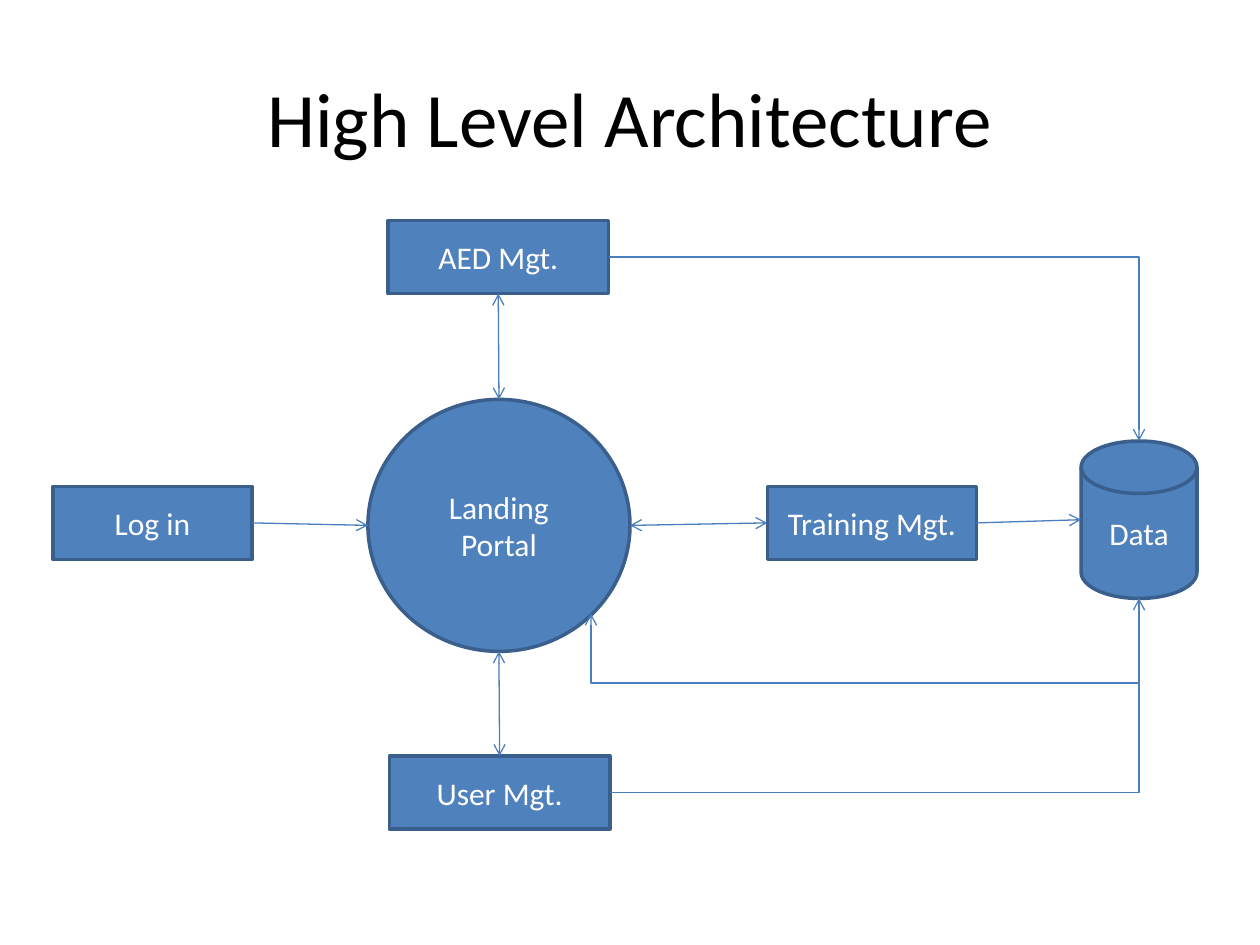
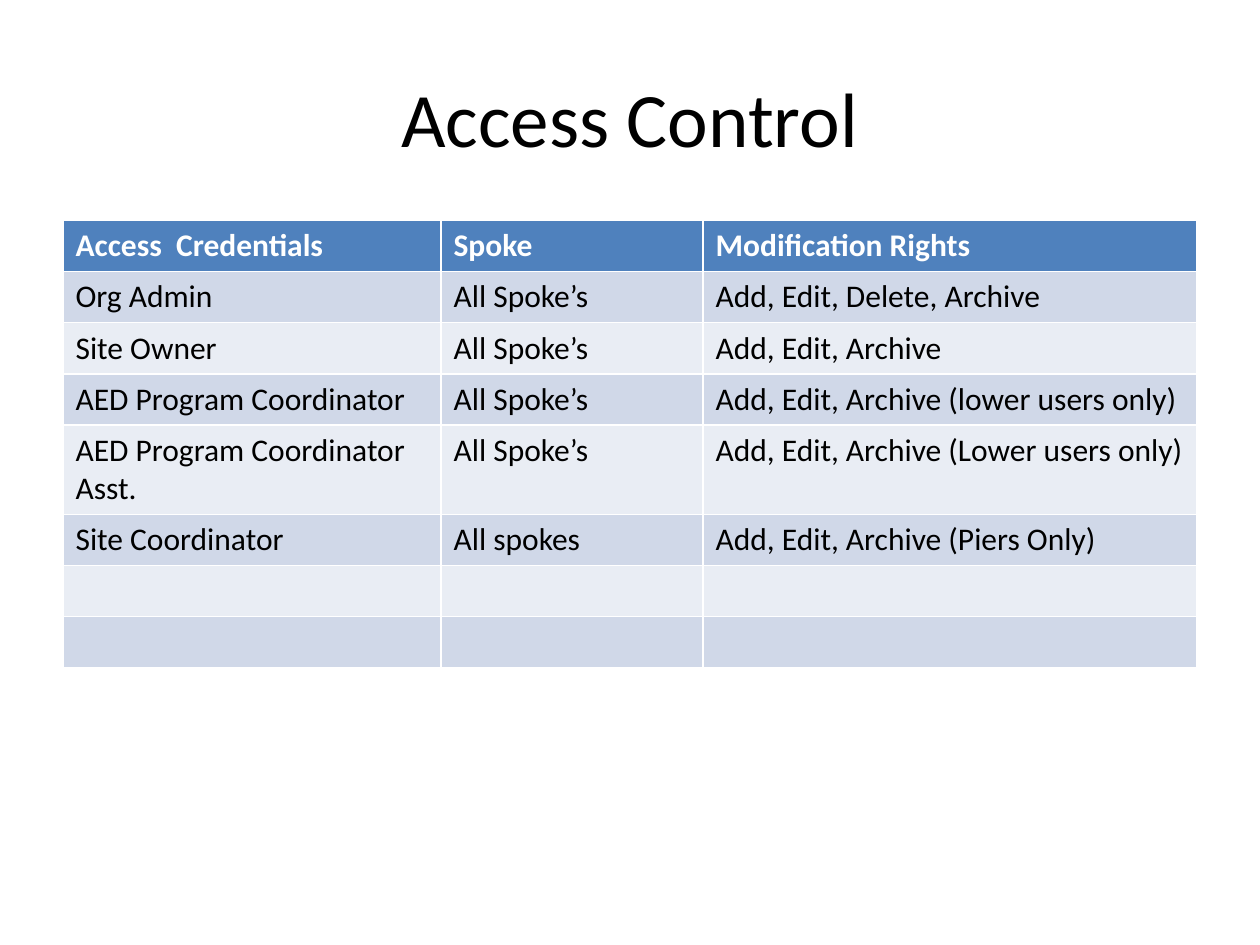
import lxml.etree
import pptx
import pptx.dml.color
import pptx.enum.shapes
import pptx.enum.text
import pptx.oxml.ns
import pptx.util

SCALE = 9144  # EMU in one px, 100 px to the inch
COLORS = {
    "title": "000000",
    "text": "000000",
    "light": "FFFFFF",
    "main": "4F81BD",
    "edge": "3A5F8C",
    "link": "4B7EBC",
    "odd": "D0D8E8",
    "even": "E9EDF4",
}
KIND = pptx.enum.shapes.MSO_SHAPE
WIRE = pptx.enum.shapes.MSO_CONNECTOR
ALIGN = pptx.enum.text.PP_ALIGN
ANCHOR = pptx.enum.text.MSO_ANCHOR
TOP, LEFT, BOTTOM, RIGHT = range(4)


def emu(*lengths):
    return [pptx.util.Emu(round(length * SCALE)) for length in lengths]


def color(name):
    return pptx.dml.color.RGBColor.from_string(COLORS[name])


def add_tag(parent, tag, **attrs):
    return lxml.etree.SubElement(parent, pptx.oxml.ns.qn(tag), attrs)


def middle(shape, side):
    """Return the middle of one side of a shape, in px."""
    x, y, w, h = (v / SCALE for v in (shape.left, shape.top, shape.width, shape.height))
    return {
        TOP: (x + w / 2, y),
        LEFT: (x, y + h / 2),
        BOTTOM: (x + w / 2, y + h),
        RIGHT: (x + w, y + h / 2),
    }[side]


class Deck:
    font = "Calibri"

    def __init__(self):
        self.show = pptx.Presentation()
        self.show.slide_width, self.show.slide_height = emu(1000, 750)
        self.slide = None

    def style(self, frame, size, name, align, bold=False):
        for para in frame.paragraphs:
            para.alignment = align
            for run in para.runs:
                run.font.name = self.font
                run.font.size = pptx.util.Pt(size)
                run.font.bold = bold
                run.font.color.rgb = color(name)

    def page(self, title):
        """Start a slide that has only a title."""
        self.slide = self.show.slides.add_slide(self.show.slide_layouts[5])
        head = self.slide.shapes.title
        head.left, head.top, head.width, head.height = emu(50, 30, 900, 125)
        head.text_frame.text = title
        head.text_frame.vertical_anchor = ANCHOR.MIDDLE
        self.style(head.text_frame, 44, "title", ALIGN.CENTER)

    def node(self, text, x, y, w, h, kind=KIND.FLOWCHART_PROCESS):
        shape = self.slide.shapes.add_shape(kind, *emu(x, y, w, h))
        shape.shadow.inherit = False
        shape.fill.solid()
        shape.fill.fore_color.rgb = color("main")
        shape.line.color.rgb = color("edge")
        shape.line.width = pptx.util.Pt(2)
        frame = shape.text_frame
        frame.text = text
        frame.word_wrap = True
        frame.vertical_anchor = ANCHOR.MIDDLE
        self.style(frame, 18, "light", ALIGN.CENTER)
        return shape

    def wire(self, kind, start, end, both=False):
        """Draw a connector with an arrow at its end, or at both ends."""
        line = self.slide.shapes.add_connector(kind, *emu(*start, *end))
        line.line.color.rgb = color("link")
        line.line.width = pptx.util.Pt(0.75)
        props = line.line._get_or_add_ln()
        if both:
            add_tag(props, "a:headEnd", type="arrow")
        add_tag(props, "a:tailEnd", type="arrow")
        add_tag(line._element.spPr, "a:effectLst")
        return line

    def link(self, first, out, last, into, both=False):
        """Join two nodes by a straight arrow, glued to any box."""
        line = self.wire(WIRE.STRAIGHT, middle(first, out), middle(last, into), both)
        if first.auto_shape_type == KIND.FLOWCHART_PROCESS:
            line.begin_connect(first, out)
        if last.auto_shape_type == KIND.FLOWCHART_PROCESS:
            line.end_connect(last, into)

    def bend(self, start, end):
        """Draw an arrow that runs across, then up or down."""
        line = self.wire(WIRE.ELBOW, start, end)
        line._element.spPr.prstGeom.set("prst", "bentConnector2")

    def loop(self, start, end, drop):
        """Draw an arrow that goes down by drop, left, and up to its end."""
        wide, high = start[0] - end[0], end[1] - start[1]
        x, y = (start[0] + end[0] - high) / 2, (start[1] + end[1] - wide) / 2
        line = self.wire(WIRE.ELBOW, (x, y), (x + high, y + wide))
        props = line._element.spPr
        props.xfrm.set("rot", str(90 * 60000))
        guides = props.prstGeom.get_or_add_avLst()
        ratio = round(drop / high * 100000)
        add_tag(guides, "a:gd", name="adj1", fmla=f"val {ratio}")

    def table(self, rows, x, y, widths, high):
        size = emu(x, y, sum(widths), high * len(rows))
        grid = self.slide.shapes.add_table(len(rows), len(widths), *size).table
        for col, width in zip(grid.columns, emu(*widths)):
            col.width = width
        for r, row in enumerate(rows):
            grid.rows[r].height = emu(high)[0]
            fill = "main" if r == 0 else ("even", "odd")[r % 2]
            for c, text in enumerate(row):
                cell = grid.cell(r, c)
                cell.fill.solid()
                cell.fill.fore_color.rgb = color(fill)
                if text:
                    cell.text_frame.text = text
                    ink = "text" if r else "light"
                    self.style(cell.text_frame, 18, ink, ALIGN.LEFT, r == 0)


def draw_flow(deck):
    deck.page("High Level Architecture")
    login = deck.node("Log in", 42, 386, 158, 58)
    portal = deck.node("Landing Portal", 292, 317, 208, 200, KIND.OVAL)
    aed = deck.node("AED Mgt.", 308, 175, 175, 58)
    train = deck.node("Training Mgt.", 609, 386, 166, 58)
    user = deck.node("User Mgt.", 309, 600, 175, 58)
    data = deck.node("Data", 858, 350, 92, 125, KIND.FLOWCHART_MAGNETIC_DISK)

    deck.link(portal, TOP, aed, BOTTOM, both=True)
    deck.link(portal, RIGHT, train, LEFT, both=True)
    deck.link(portal, BOTTOM, user, TOP, both=True)
    deck.link(login, RIGHT, portal, LEFT)
    deck.link(train, RIGHT, data, LEFT)
    deck.bend(middle(user, RIGHT), middle(data, BOTTOM))
    deck.bend(middle(aed, RIGHT), middle(data, TOP))
    deck.loop(middle(data, BOTTOM), (469, 487), 67)


def draw_access(deck):
    deck.page("Access Control")
    rows = [
        ("Access  Credentials", "Spoke", "Modification Rights"),
        ("Org Admin", "All Spoke’s", "Add, Edit, Delete, Archive"),
        ("Site Owner", "All Spoke’s", "Add, Edit, Archive"),
        ("AED Program Coordinator", "All Spoke’s", "Add, Edit, Archive (lower users only)"),
        ("AED Program Coordinator Asst.", "All Spoke’s", "Add, Edit, Archive (Lower users only)"),
        ("Site Coordinator", "All spokes", "Add, Edit, Archive (Piers Only)"),
        ("", "", ""),
        ("", "", ""),
    ]
    deck.table(rows, 50, 175, (300, 208, 392), 40)


def main():
    deck = Deck()
    draw_flow(deck)
    draw_access(deck)
    deck.show.save("out.pptx")


if __name__ == "__main__":
    main()
